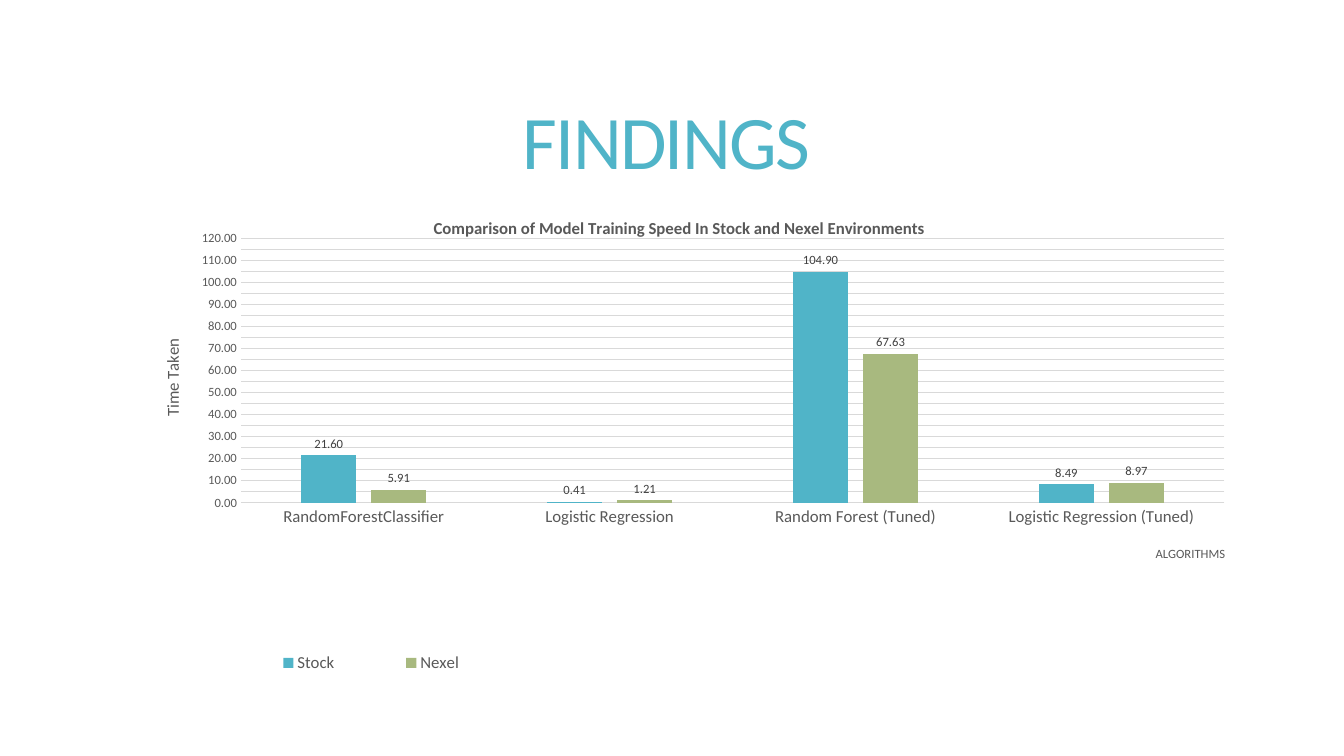
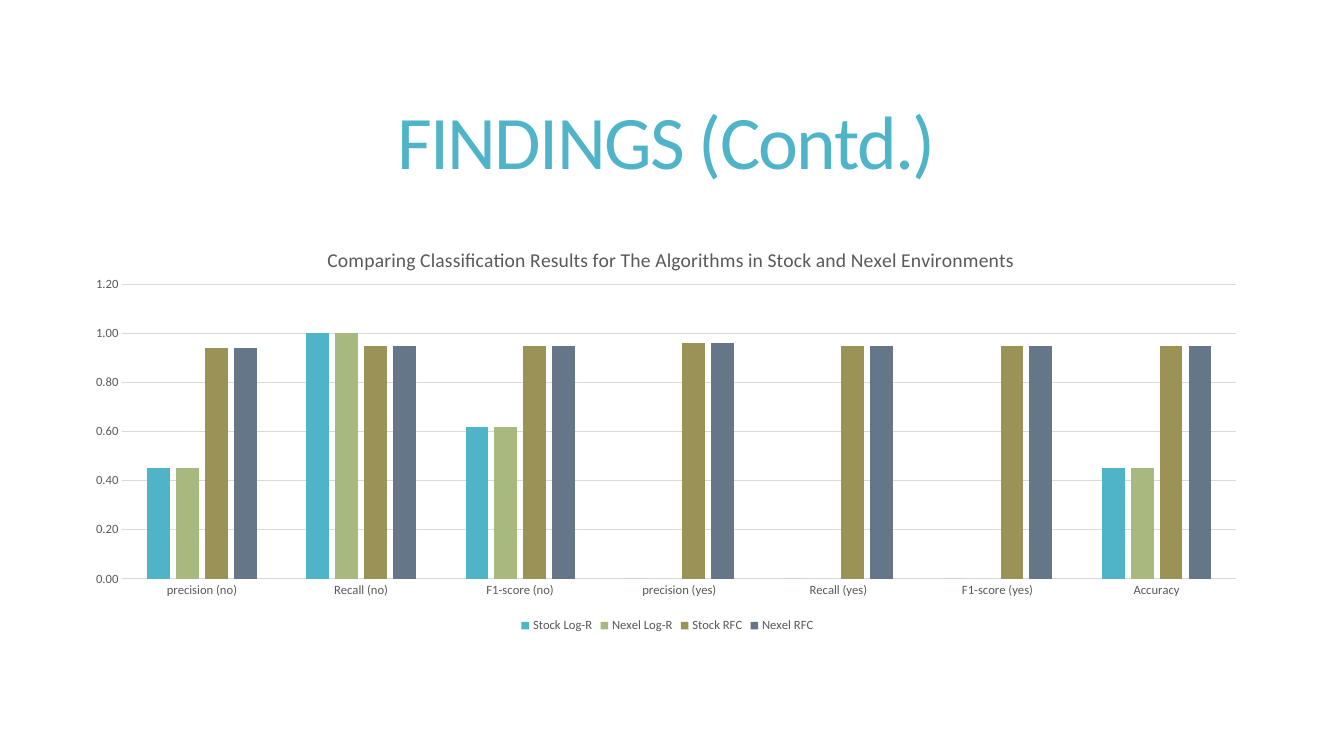
from lxml import etree
from pptx import Presentation
from pptx import util as u
from pptx.chart.data import CategoryChartData
from pptx.dml.color import RGBColor
from pptx.enum import chart as charts, text
from pptx.oxml.ns import qn

PX = 914400 / 100.8
FONT = "Calibri"
TEAL, GREEN, OLIVE, SLATE = "50B4C8", "A8B97F", "9B9256", "657689"
GREY, LABEL_GREY, GRID = "595959", "404040", "D9D9D9"
COLORS = [TEAL, GREEN, OLIVE, SLATE]
TITLE_BOX = (73, 55, 1187, 182)

CLASSIFIER = [0.94, 0.95, 0.95, 0.96, 0.95, 0.95, 0.95]
REGRESSION = [0.45, 1, 0.62, 0, 0, 0, 0.45]

# Layouts are fractions of the chart: left, top and, where given, width, height
SLIDES = [
    {
        "title": "FINDINGS",
        "box": (75, 193, 1185, 508),
        "heading": ("Comparison of Model Training Speed In Stock and Nexel Environments",
                    12, True, (0.3, 0.04)),
        "categories": ["RandomForestClassifier", "Logistic Regression",
                       "Random Forest (Tuned)", "Logistic Regression (Tuned)"],
        "series": {"Stock": [21.6, 0.41, 104.9, 8.49],
                   "Nexel": [5.91, 1.21, 67.63, 8.97]},
        "plot": (0.14, 0.09, 0.83, 0.52),
        "category_size": 12,
        "legend_size": 12,
        "legend": (0.12, 0.89, 0.26, 0.07),
        "labels": True,
        "scale": {"minimum_scale": 0, "maximum_scale": 120, "major_unit": 5},
        "category_title": ("ALGORITHMS", 9, False, (0.91, 0.69)),
        "value_title": ("Time Taken", 12, False, (0.07, 0.28)),
    },
    {
        "title": "FINDINGS (Contd.)",
        "box": (75, 222, 1185, 415),
        "heading": ("Comparing Classification Results for The Algorithms "
                    "in Stock and Nexel Environments", 14, False, (0.21, 0.05)),
        "categories": ["precision (no)", "Recall (no)", "F1-score (no)", "precision (yes)",
                       "Recall (yes)", "F1-score (yes)", "Accuracy"],
        "series": {"Stock Log-R": REGRESSION, "Nexel Log-R": REGRESSION,
                   "Stock RFC": CLASSIFIER, "Nexel RFC": CLASSIFIER},
        "plot": (0.04, 0.15, 0.94, 0.71),
        "category_size": 9,
        "legend_size": 9,
        "scale": {"minimum_scale": 0, "maximum_scale": 1.2, "major_unit": 0.2},
    },
]


def px(*lengths):
    return [u.Emu(round(length * PX)) for length in lengths]


def rgb(value):
    return RGBColor.from_string(value)


def set_all(target, values):
    for name, value in values.items():
        setattr(target, name, value)


def style_font(font, size, color=GREY, bold=False):
    set_all(font, {"name": FONT, "size": u.Pt(size), "bold": bold})
    font.color.rgb = rgb(color)


def place(element, box, inner=False):
    """Give a chart part a manual layout."""
    for old in element.findall(qn("c:layout")):
        element.remove(old)
    layout = etree.Element(qn("c:layout"))
    manual = etree.SubElement(layout, qn("c:manualLayout"))
    values = [("layoutTarget", "inner")] if inner else []
    values += [("xMode", "edge"), ("yMode", "edge"), *zip("xywh", box)]
    for tag, value in values:
        etree.SubElement(manual, qn("c:" + tag)).set("val", str(value))
    leading = (qn("c:tx"), qn("c:legendPos"))
    element.insert(sum(child.tag in leading for child in element), layout)


def add_chart_title(title, wording, size, bold, position):
    paragraph = title.text_frame.paragraphs[0]
    run = paragraph.add_run()
    run.text = wording
    style_font(run.font, size, bold=bold)
    place(title._element, position)


def add_title(slide, wording):
    title = slide.shapes.title
    set_all(title, dict(zip(("left", "top", "width", "height"), px(*TITLE_BOX))))
    set_all(title.text_frame, {"word_wrap": True, "vertical_anchor": text.MSO_ANCHOR.MIDDLE,
                               "auto_size": text.MSO_AUTO_SIZE.NONE})
    paragraph = title.text_frame.paragraphs[0]
    set_all(paragraph, {"alignment": text.PP_ALIGN.CENTER, "line_spacing": 0.85})
    run = paragraph.add_run()
    run.text = wording
    style_font(run.font, 54, TEAL)
    run.font._element.set("spc", "-120")


def style_axes(chart, content):
    category, value = chart.category_axis, chart.value_axis
    for axis, size in ((category, content["category_size"]), (value, 9)):
        set_all(axis, {"major_tick_mark": charts.XL_TICK_MARK.NONE,
                       "minor_tick_mark": charts.XL_TICK_MARK.NONE})
        style_font(axis.tick_labels.font, size)
    category.has_major_gridlines = False
    value.has_major_gridlines = True
    for line in (category.format.line, value.major_gridlines.format.line):
        line.color.rgb = rgb(GRID)
        line.width = u.Pt(0.75)
    value.format.line.fill.background()
    set_all(value.tick_labels, {"number_format": "0.00", "number_format_is_linked": False})
    set_all(value, content["scale"])
    for axis, key in ((category, "category_title"), (value, "value_title")):
        if key in content:
            add_chart_title(axis.axis_title, *content[key])
    if "value_title" in content:
        body = value.axis_title.text_frame._element.find(qn("a:bodyPr"))
        body.set("rot", "-5400000")
        body.set("vert", "horz")


def add_column_chart(slide, content):
    data = CategoryChartData(number_format="0.00")
    data.categories = content["categories"]
    for name, values in content["series"].items():
        data.add_series(name, values)
    chart = slide.shapes.add_chart(charts.XL_CHART_TYPE.COLUMN_CLUSTERED,
                                   *px(*content["box"]), data).chart
    style_font(chart.font, 10, "000000")
    chart.has_title = True
    add_chart_title(chart.chart_title, *content["heading"])
    style_axes(chart, content)

    # Columns and their values
    plot = chart.plots[0]
    set_all(plot, {"gap_width": 219, "overlap": -27, "vary_by_categories": False})
    for series, color in zip(plot.series, COLORS):
        series.format.fill.solid()
        series.format.fill.fore_color.rgb = rgb(color)
        series.invert_if_negative = False
        if content.get("labels"):
            labels = series.data_labels
            set_all(labels, {"show_value": True, "number_format": "0.00",
                             "number_format_is_linked": False,
                             "position": charts.XL_LABEL_POSITION.OUTSIDE_END})
            style_font(labels.font, 9, LABEL_GREY)
    place(chart._chartSpace.chart.plotArea, content["plot"], inner=True)

    # Legend
    chart.has_legend = True
    set_all(chart.legend, {"position": charts.XL_LEGEND_POSITION.BOTTOM,
                           "include_in_layout": False})
    style_font(chart.legend.font, content["legend_size"])
    if "legend" in content:
        place(chart.legend._element, content["legend"])


def main():
    presentation = Presentation()
    width, height = px(1344, 756)
    set_all(presentation, {"slide_width": width, "slide_height": height})
    for content in SLIDES:
        slide = presentation.slides.add_slide(presentation.slide_layouts[5])
        add_title(slide, content["title"])
        add_column_chart(slide, content)
    presentation.save("out.pptx")


if __name__ == "__main__":
    main()
